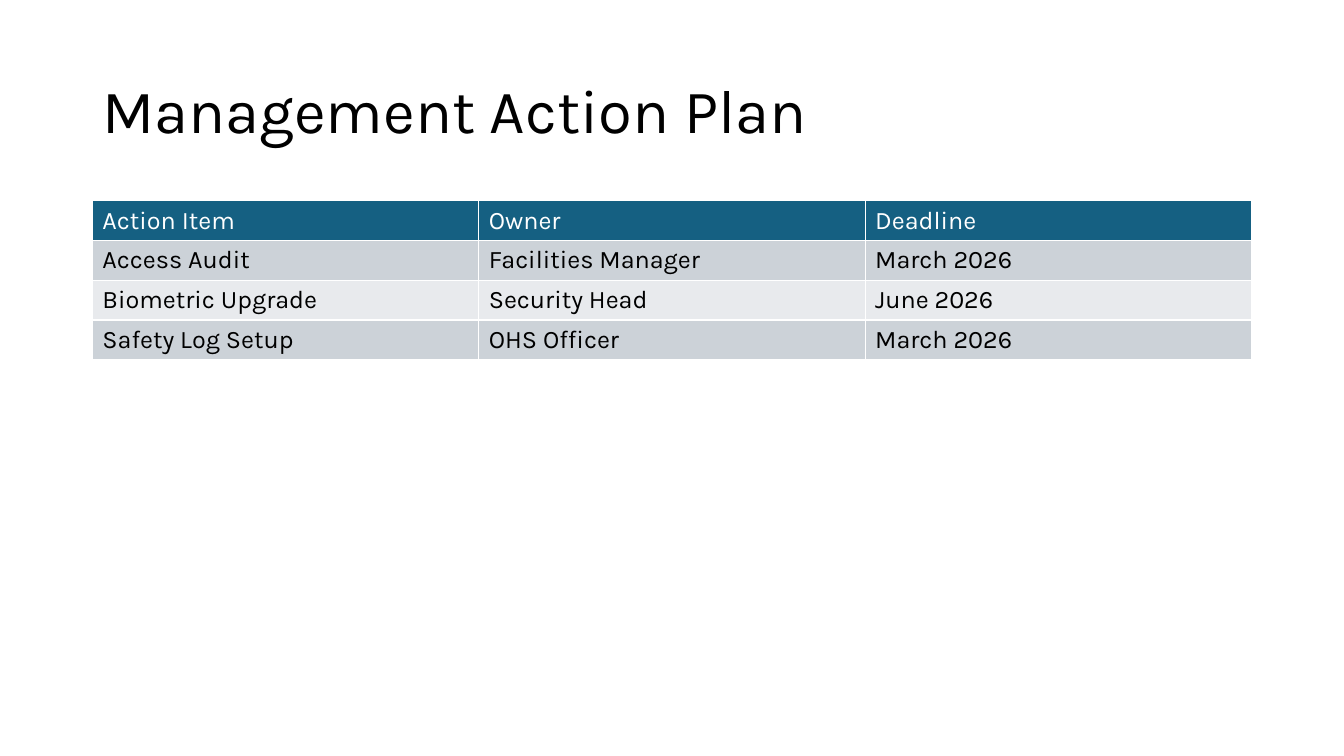
from pptx import Presentation
from pptx.dml.color import RGBColor
from pptx.enum.text import MSO_ANCHOR, PP_ALIGN
from pptx.oxml import parse_xml
from pptx.oxml.ns import nsdecls
from pptx.util import Pt

MIDDLE = MSO_ANCHOR.MIDDLE
ALIGN = PP_ALIGN.LEFT

BLACK = RGBColor(0x00, 0x00, 0x00)
WHITE = RGBColor(0xFF, 0xFF, 0xFF)
BLUE = RGBColor(0x15, 0x60, 0x82)
BANDS = (RGBColor(0xCC, 0xD2, 0xD8), RGBColor(0xE8, 0xEA, 0xED))

FONT = "Karla"
LEFT, WIDTH = 66, 828
ROW_H = 28.4

PLAN = (
    ("Action Item", "Owner", "Deadline"),
    ("Access Audit", "Facilities Manager", "March 2026"),
    ("Biometric Upgrade", "Security Head", "June 2026"),
    ("Safety Log Setup", "OHS Officer", "March 2026"),
)


def set_text(frame, text, size=18, color=BLACK, spacing=None):
    frame.text = text
    para = frame.paragraphs[0]
    para.alignment = ALIGN
    para.line_spacing = spacing
    font = para.runs[0].font
    font.name, font.size, font.bold = FONT, Pt(size), False
    font.color.rgb = color


def add_title(slide, text):
    title = slide.shapes.title
    title.left, title.top = Pt(LEFT), Pt(28.75)
    title.width, title.height = Pt(WIDTH), Pt(104.4)
    title.text_frame.word_wrap = True
    title.text_frame.vertical_anchor = MIDDLE
    set_text(title.text_frame, text, size=44, spacing=0.9)


def set_edges(cell, color, width):
    props = cell._tc.get_or_add_tcPr()
    for place, side in enumerate(("lnL", "lnR", "lnT", "lnB")):
        line = parse_xml(
            f'<a:{side} {nsdecls("a")} w="{Pt(width)}"><a:solidFill>'
            f'<a:srgbClr val="{color}"/></a:solidFill></a:{side}>'
        )
        props.insert(place, line)


def add_grid(slide, rows):
    count = len(rows[0])
    grid = slide.shapes.add_table(
        len(rows), count, Pt(LEFT), Pt(143.5), Pt(WIDTH), Pt(ROW_H * len(rows))
    ).table
    for col in grid.columns:
        col.width = Pt(WIDTH / count)
    for r, row in enumerate(rows):
        grid.rows[r].height = Pt(ROW_H)
        for c, text in enumerate(row):
            cell = grid.cell(r, c)
            cell.fill.solid()
            cell.fill.fore_color.rgb = BANDS[(r - 1) % 2] if r else BLUE
            set_edges(cell, WHITE, 1)
            set_text(cell.text_frame, text, color=BLACK if r else WHITE)


def main():
    deck = Presentation()
    deck.slide_width, deck.slide_height = Pt(960), Pt(540)
    slide = deck.slides.add_slide(deck.slide_layouts[5])

    # Heading
    add_title(slide, "Management Action Plan")

    # Action table
    add_grid(slide, PLAN)

    deck.save("out.pptx")


if __name__ == "__main__":
    main()
